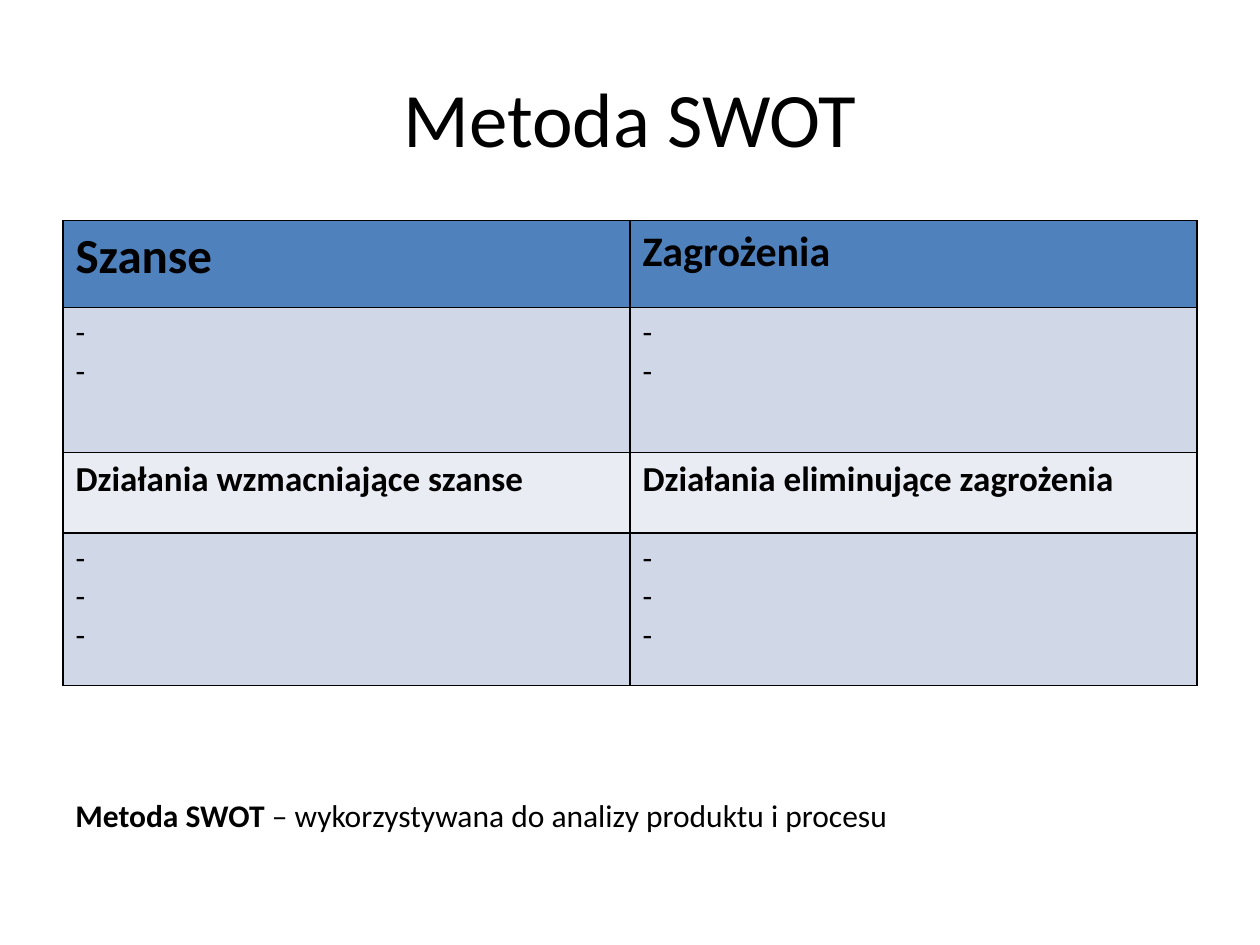
from dataclasses import dataclass

from lxml import etree
from pptx import Presentation
from pptx import util as u
from pptx.dml.color import RGBColor
from pptx.enum import text
from pptx.oxml import ns


@dataclass(frozen=True)
class Theme:
    font: str = "Calibri"
    ink: str = "000000"
    header: str = "4F81BD"
    band: str = "D0D8E7"
    pale: str = "E9ECF3"
    title: int = 44
    body: int = 18
    border: float = 0.96


THEME = Theme()

# Content: each paragraph is a list of (wording, bold) spans
TITLE = [[("Metoda SWOT", False)]]
NOTE = [[("Metoda SWOT", True),
         (" – wykorzystywana do analizy produktu i procesu", False)]]

# Table rows: height, fill, bold, then (lines, type size) for each cell
ROWS = [
    (0.69, THEME.header, True, [(["Szanse"], 28), (["Zagrożenia"], 24)]),
    (1.15, THEME.band, False, [(["-"] * 2, THEME.body)] * 2),
    (0.64, THEME.pale, True, [(["Działania wzmacniające szanse"], 20),
                              (["Działania eliminujące zagrożenia"], 20)]),
    (1.21, THEME.band, False, [(["-"] * 3, THEME.body)] * 2),
]
LEFT, WIDTH = 0.5, 9
TABLE_TOP = 1.75


def write(frame, paragraphs, size=THEME.body, align=text.PP_ALIGN.LEFT):
    for index, spans in enumerate(paragraphs):
        para = frame.paragraphs[0] if index == 0 else frame.add_paragraph()
        para.alignment = align
        for wording, bold in spans:
            span = para.add_run()
            span.text = wording
            span.font.name = THEME.font
            span.font.size = u.Pt(size)
            span.font.bold = bold
            span.font.color.rgb = RGBColor.from_string(THEME.ink)


def add_text(page, paragraphs, top, height, anchor=text.MSO_ANCHOR.TOP, **style):
    box = page.shapes.add_textbox(*map(u.Inches, (LEFT, top, WIDTH, height)))
    box.text_frame.word_wrap = True
    box.text_frame.vertical_anchor = anchor
    write(box.text_frame, paragraphs, **style)
    return box


def add_borders(cell):
    properties = cell._tc.get_or_add_tcPr()
    for index, side in enumerate(("lnL", "lnR", "lnT", "lnB")):
        line = etree.Element(ns.qn(f"a:{side}"), w=str(int(u.Pt(THEME.border))))
        fill = etree.SubElement(line, ns.qn("a:solidFill"))
        etree.SubElement(fill, ns.qn("a:srgbClr"), val=THEME.ink)
        properties.insert(index, line)


def add_swot_table(page):
    columns = len(ROWS[0][3])
    height = sum(row[0] for row in ROWS)
    table = page.shapes.add_table(
        len(ROWS), columns,
        *map(u.Inches, (LEFT, TABLE_TOP, WIDTH, height))).table
    for column in table.columns:
        column.width = u.Inches(WIDTH / columns)
    for r, (row_height, fill, bold, cells) in enumerate(ROWS):
        table.rows[r].height = u.Inches(row_height)
        for c, (lines, size) in enumerate(cells):
            cell = table.cell(r, c)
            cell.fill.solid()
            cell.fill.fore_color.rgb = RGBColor.from_string(fill)
            write(cell.text_frame, [[(line, bold)] for line in lines], size=size)
            add_borders(cell)


def main():
    deck = Presentation()
    deck.slide_width, deck.slide_height = u.Inches(10), u.Inches(7.5)
    page = deck.slides.add_slide(deck.slide_layouts[6])

    # Title
    add_text(page, TITLE, 0.3, 1.25, anchor=text.MSO_ANCHOR.MIDDLE,
             size=THEME.title, align=text.PP_ALIGN.CENTER)
    # Opportunities and threats
    add_swot_table(page)
    # Note below the table
    note = add_text(page, NOTE, 6.27, 0.4)
    note.text_frame.auto_size = text.MSO_AUTO_SIZE.SHAPE_TO_FIT_TEXT

    deck.save("out.pptx")


if __name__ == "__main__":
    main()
